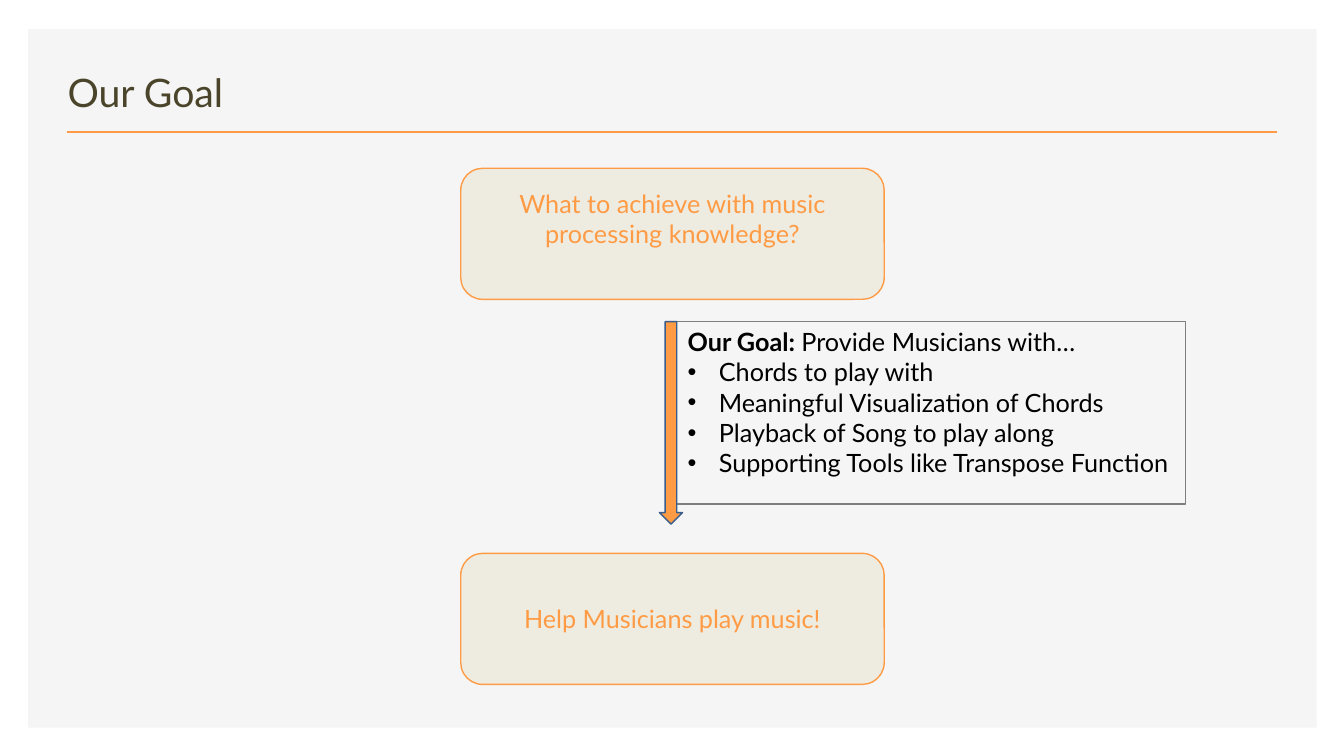
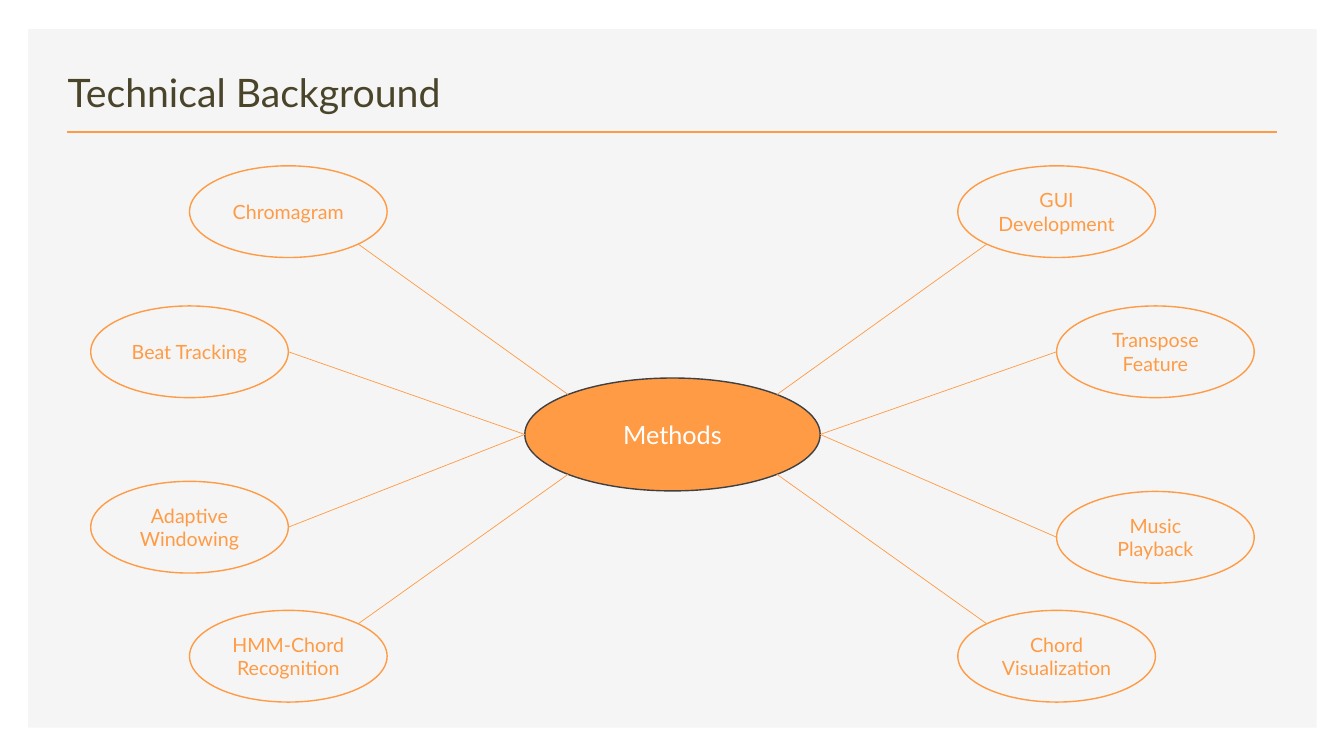
"""Build two slides on the goal and methods of a music processing project."""
import math

from lxml import etree
from pptx import Presentation
from pptx.dml.color import RGBColor
from pptx.enum import shapes, text
from pptx.oxml import ns
from pptx.util import Inches, Pt

ORANGE = RGBColor(0xFF, 0x9B, 0x45)
OLIVE = RGBColor(0x4A, 0x45, 0x2A)
PANEL = RGBColor(0xF5, 0xF5, 0xF5)
BEIGE = RGBColor(0xEE, 0xEC, 0xE1)
GREY = RGBColor(0x7F, 0x7F, 0x7F)
CHARCOAL = RGBColor(0x40, 0x40, 0x40)
BLUE = RGBColor(0x38, 0x5D, 0x8A)
BLACK = RGBColor(0, 0, 0)
WHITE = RGBColor(0xFF, 0xFF, 0xFF)
FONT = "Lato"
SHAPE = shapes.MSO_SHAPE

GOAL_TITLE = "Our Goal"
QUESTION = "What to achieve with music processing knowledge?"
ANSWER = "Help Musicians play music!"
GOAL_LEAD = [("Our Goal: ", True), ("Provide Musicians with…", False)]
GOALS = [
    "Chords to play with",
    "Meaningful Visualization of Chords",
    "Playback of Song to play along",
    "Supporting Tools like Transpose Function",
]

METHODS_TITLE = "Technical Background"
HUB = "Methods"
HUB_CENTRE = (6.67, 4.31)
HUB_SIZE = (2.93, 1.12)
METHOD_SIZE = (1.96, 0.91)
NEAR, FAR = 3.81, 4.79
METHODS = [
    ("Chromagram", -NEAR, 2.1),
    ("Beat Tracking", -FAR, 3.49),
    ("Adaptive Windowing", -FAR, 5.23),
    ("HMM-Chord Recognition", -NEAR, 6.51),
    ("GUI Development", NEAR, 2.1),
    ("Transpose Feature", FAR, 3.49),
    ("Music Playback", FAR, 5.33),
    ("Chord Visualization", NEAR, 6.51),
]


def style_font(font, size, color):
    font.name = FONT
    font.size = Pt(size)
    font.color.rgb = color


def add_block(slide, kind, box, fill=None, line=None, label="", size=18, color=ORANGE):
    shape = slide.shapes.add_shape(kind, *map(Inches, box))
    shape.shadow.inherit = False
    if fill is None:
        shape.fill.background()
    else:
        shape.fill.solid()
        shape.fill.fore_color.rgb = fill
    if line is None:
        shape.line.fill.background()
    else:
        shape.line.color.rgb = line
        shape.line.width = Pt(1)
    if label:
        frame = shape.text_frame
        frame.text = label
        frame.word_wrap = True
        frame.vertical_anchor = text.MSO_ANCHOR.MIDDLE
        frame.paragraphs[0].alignment = text.PP_ALIGN.CENTER
        style_font(frame.paragraphs[0].runs[0].font, size, color)
    return shape


def add_line(slide, start, end, width):
    line = slide.shapes.add_connector(
        shapes.MSO_CONNECTOR.STRAIGHT, *map(Inches, (*start, *end)))
    line.line.color.rgb = ORANGE
    line.line.width = Pt(width)
    properties = line.element.find(ns.qn("p:spPr"))
    etree.SubElement(properties, ns.qn("a:effectLst"))
    return line


def decorate_layout(layout, slide):
    panel = add_block(slide, SHAPE.RECTANGLE, (0.28, 0.29, 12.78, 6.93), PANEL)
    rule = add_line(slide, (0.66, 1.31), (12.67, 1.31), 2)
    for offset, part in enumerate((panel, rule)):
        part.element.xpath(".//p:cNvPr")[0].set("id", str(100 + offset))
        layout.shapes.element.insert(2 + offset, part.element)


def add_titled_slide(presentation, layout, heading):
    slide = presentation.slides.add_slide(layout)
    title = slide.shapes.title
    title.left, title.top, title.width, title.height = map(Inches, (0.57, 0.49, 8.9, 0.7))
    frame = title.text_frame
    frame.text = heading
    frame.vertical_anchor = text.MSO_ANCHOR.BOTTOM
    frame.paragraphs[0].alignment = text.PP_ALIGN.LEFT
    style_font(frame.paragraphs[0].runs[0].font, 28, OLIVE)
    return slide


def add_bullet(paragraph):
    properties = paragraph._p.get_or_add_pPr()
    properties.set("marL", str(Inches(0.31)))
    properties.set("indent", str(-Inches(0.31)))
    etree.SubElement(properties, ns.qn("a:buFont"), typeface="Arial")
    etree.SubElement(properties, ns.qn("a:buChar"), char="•")


def fill_goal_slide(slide):
    goals = add_block(slide, SHAPE.RECTANGLE, (6.67, 3.19, 5.09, 1.81), line=GREY)
    frame = goals.text_frame
    frame.word_wrap = True
    frame.vertical_anchor = text.MSO_ANCHOR.TOP
    frame.margin_left = Inches(0.15)
    lead = frame.paragraphs[0]
    for words, bold in GOAL_LEAD:
        run = lead.add_run()
        run.text = words
        run.font.bold = bold
    for goal in GOALS:
        paragraph = frame.add_paragraph()
        paragraph.text = goal
        add_bullet(paragraph)
    for paragraph in frame.paragraphs:
        paragraph.alignment = text.PP_ALIGN.LEFT
        for run in paragraph.runs:
            style_font(run.font, 18, BLACK)

    question, answer = [
        add_block(slide, SHAPE.ROUNDED_RECTANGLE, (4.57, top, 4.2, 1.3), BEIGE, ORANGE, label)
        for label, top in ((QUESTION, 1.67), (ANSWER, 5.49))]
    question.text_frame.margin_bottom = Inches(0.35)
    add_block(slide, SHAPE.DOWN_ARROW, (6.54, 3.19, 0.23, 2.01), ORANGE, BLUE)


def add_ellipse(slide, centre, extent, **style):
    (x, y), (width, height) = centre, extent
    box = (x - width / 2, y - height / 2, width, height)
    return add_block(slide, SHAPE.OVAL, box, **style)


def rim_point(centre, extent, angle):
    return tuple(middle + length / 2 * turn for middle, length, turn
                 in zip(centre, extent, (math.cos(angle), math.sin(angle))))


def fill_methods_slide(slide):
    add_ellipse(slide, HUB_CENTRE, HUB_SIZE, fill=ORANGE, line=CHARCOAL,
                label=HUB, color=WHITE)
    hub_x, hub_y = HUB_CENTRE
    for label, offset, y in METHODS:
        centre = (hub_x + offset, y)
        add_ellipse(slide, centre, METHOD_SIZE, line=ORANGE, label=label, size=14)
        rise = math.copysign(1, y - hub_y) if abs(offset) == NEAR else 0
        angle = math.atan2(rise, math.copysign(1, offset))
        add_line(slide, rim_point(centre, METHOD_SIZE, angle + math.pi),
                 rim_point(HUB_CENTRE, HUB_SIZE, angle), 0.5)


def main():
    presentation = Presentation()
    presentation.slide_width = Inches(13.33)
    presentation.slide_height = Inches(7.5)
    layout = presentation.slide_layouts[5]
    goal_slide = add_titled_slide(presentation, layout, GOAL_TITLE)
    decorate_layout(layout, goal_slide)
    fill_goal_slide(goal_slide)
    fill_methods_slide(add_titled_slide(presentation, layout, METHODS_TITLE))
    presentation.save("out.pptx")


if __name__ == "__main__":
    main()
